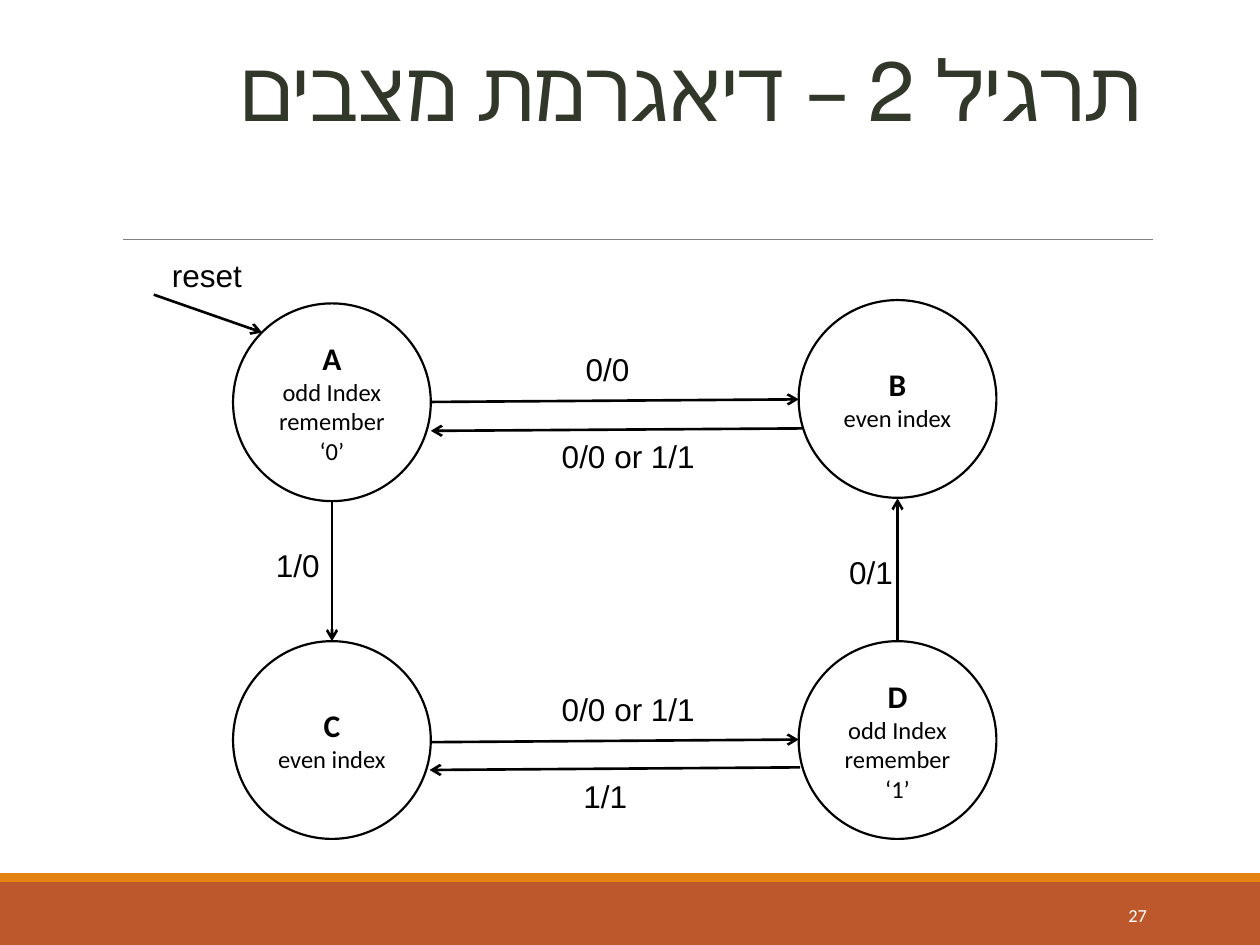
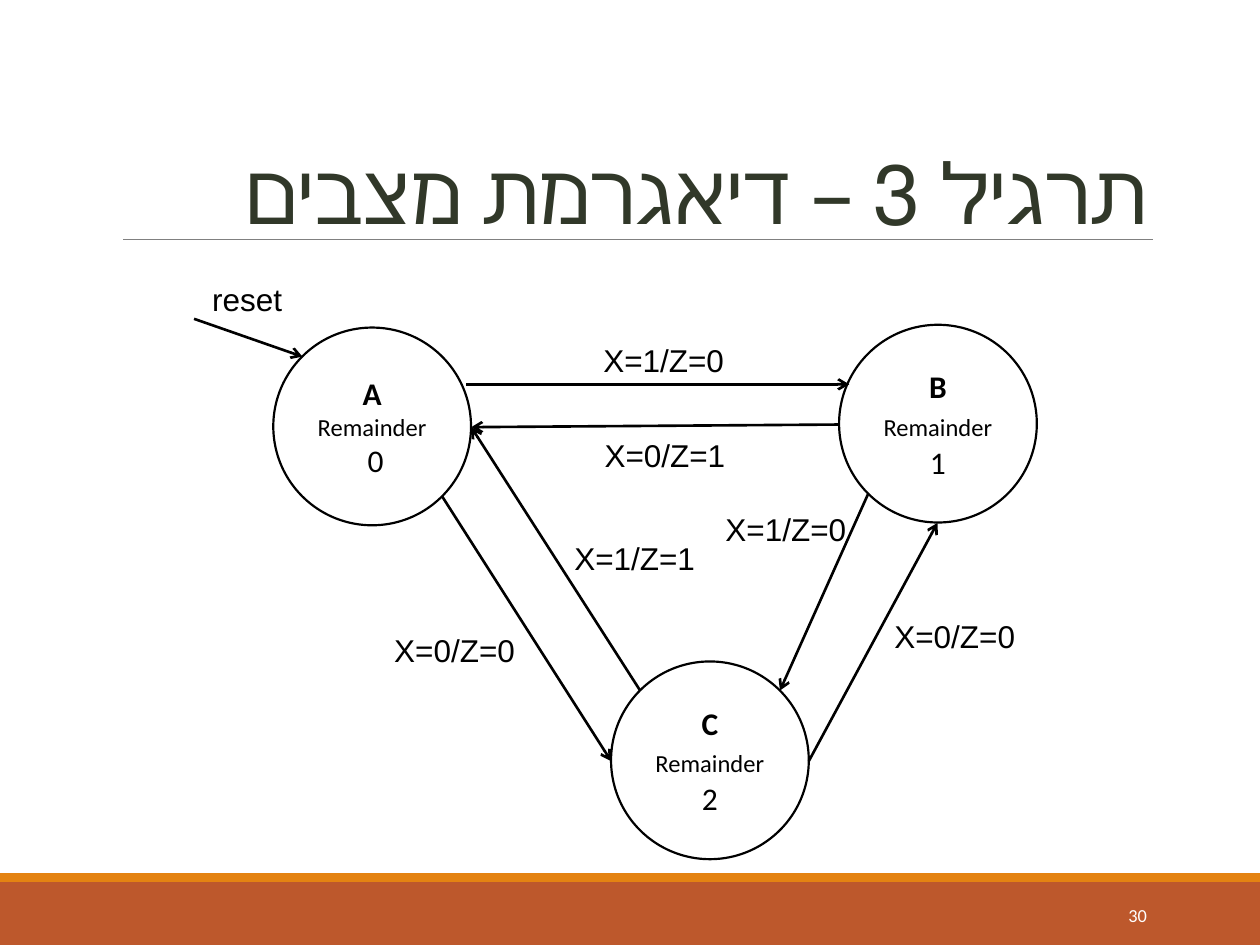
from lxml import etree
from pptx import Presentation
from pptx.dml.color import RGBColor
from pptx.enum.lang import MSO_LANGUAGE_ID
from pptx.enum.shapes import MSO_CONNECTOR, MSO_SHAPE
from pptx.enum.text import MSO_ANCHOR, PP_ALIGN
from pptx.oxml.ns import qn
from pptx.util import Pt

OVAL, RECTANGLE = MSO_SHAPE.OVAL, MSO_SHAPE.RECTANGLE
STRAIGHT = MSO_CONNECTOR.STRAIGHT
MIDDLE, BOTTOM, TOP = MSO_ANCHOR.MIDDLE, MSO_ANCHOR.BOTTOM, MSO_ANCHOR.TOP
LEFT, CENTER, RIGHT = PP_ALIGN.LEFT, PP_ALIGN.CENTER, PP_ALIGN.RIGHT
HEBREW = MSO_LANGUAGE_ID.HEBREW

BLACK = RGBColor(0x00, 0x00, 0x00)
WHITE = RGBColor(0xFF, 0xFF, 0xFF)
RUST = RGBColor(0xBD, 0x58, 0x2C)
ORANGE = RGBColor(0xE4, 0x83, 0x12)
GRAY = RGBColor(0x80, 0x80, 0x80)
DARK_OLIVE = RGBColor(0x31, 0x38, 0x29)

WIDTH, HEIGHT = 720, 540
DIAMETER = 113
LABEL_HEIGHT = 29


class StateDiagramDeck:
    heading_font = "Calibri"
    label_font = "Arial"

    def __init__(self):
        self.presentation = Presentation()
        self.presentation.slide_width = Pt(WIDTH)
        self.presentation.slide_height = Pt(HEIGHT)
        self.slide = None

    def new_slide(self, title, title_box, number):
        self.slide = self.presentation.slides.add_slide(self.presentation.slide_layouts[6])
        self.band(504, 36, RUST)
        self.band(499, 5, ORANGE)
        self.line((70.5, 136.9), (659, 136.9), GRAY, 0.5)
        heading = self.text(title, title_box, 48, self.heading_font, DARK_OLIVE, RIGHT, BOTTOM)
        heading.line_spacing = 0.85
        heading._p.get_or_add_pPr().set("rtl", "1")
        run = heading.runs[0]
        run.font.language_id = HEBREW
        run._r.get_or_add_rPr().set("spc", "-50")
        self.text(number, (584.6, 508.3, 77.8, 28.8), 10.5, self.heading_font, WHITE, RIGHT, MIDDLE)

    def shape(self, kind, left, top, width, height, fill):
        shape = self.slide.shapes.add_shape(kind, Pt(left), Pt(top), Pt(width), Pt(height))
        shape.shadow.inherit = False
        shape.fill.solid()
        shape.fill.fore_color.rgb = fill
        return shape

    def band(self, top, height, color):
        self.shape(RECTANGLE, 0, top, WIDTH, height, color).line.fill.background()

    def text(self, content, box, size, font_name, color, alignment=LEFT, anchor=TOP):
        frame = self.slide.shapes.add_textbox(*map(Pt, box)).text_frame
        frame.word_wrap = True
        frame.vertical_anchor = anchor
        paragraph = frame.paragraphs[0]
        paragraph.text = content
        paragraph.alignment = alignment
        self.style(paragraph.font, size, font_name, color)
        return paragraph

    def style(self, font, size, name, color):
        font.size = Pt(size)
        font.name = name
        font.color.rgb = color

    def line(self, start, end, color, weight):
        connector = self.slide.shapes.add_connector(STRAIGHT, *map(Pt, start + end))
        connector.line.color.rgb = color
        connector.line.width = Pt(weight)
        etree.SubElement(connector._element.spPr, qn("a:effectLst"))
        return connector

    def arrow(self, start, end):
        connector = self.line(start, end, BLACK, 1.5)
        etree.SubElement(connector.line._get_or_add_ln(), qn("a:tailEnd"), type="arrow")

    def label(self, content, left, top, width=84.2):
        self.text(content, (left, top, width, LABEL_HEIGHT), 18, self.label_font, BLACK)

    def state(self, name, position, *details):
        circle = self.shape(OVAL, *position, DIAMETER, DIAMETER, WHITE)
        circle.line.color.rgb = BLACK
        circle.line.width = Pt(1.25)
        frame = circle.text_frame
        frame.word_wrap = True
        frame.vertical_anchor = MIDDLE
        paragraph = frame.paragraphs[0]
        paragraph.text = name
        paragraph.alignment = CENTER
        paragraph.font.bold = True
        self.style(paragraph.font, 18, self.heading_font, BLACK)
        for runs in details:
            paragraph = frame.add_paragraph()
            paragraph.alignment = CENTER
            for content, size in runs:
                run = paragraph.add_run()
                run.text = content
                self.style(run.font, size, self.heading_font, BLACK)

    def reset(self, state_position):
        left, top = state_position
        self.label("reset", left - 42, top - 30.5)
        self.arrow((left - 45.3, top - 5), (left + 16.6, top + 16.6))


def build_parity_slide(deck):
    deck.new_slide("תרגיל 2 – דיאגרמת מצבים", (65.5, 21.6, 594, 61.2), "27")
    left, right, bottom = 133.2, 456.4, 366.4
    start = (left, 173.4)
    deck.state("A", start, [("odd Index remember ‘0’", 14)])
    deck.state("B", (right, 171.5), [("even index", 14)])
    deck.state("D", (right, bottom), [("odd Index remember ‘1’", 14)])
    deck.state("C", (left, bottom), [("even index", 14)])
    deck.reset(start)
    left_center, right_center = left + DIAMETER / 2, right + DIAMETER / 2
    for tail, head in (
        ((246.2, 229.7), (right, 228.2)),
        ((458.6, 244.8), (246.2, 246.2)),
        ((left_center, 286.4), (left_center, bottom)),
        ((246.2, 424.1), (right, 422.6)),
        ((right_center, bottom), (right_center, 284.8)),
        ((457.2, 438.5), (245.5, 440)),
    ):
        deck.arrow(tail, head)
    for transition in (
        ("0/0", 327.6, 196.6, 42.5),
        ("0/0 or 1/1", 313.9, 246.2, 99.4),
        ("1/0", 150.5, 308.2, 42.5),
        ("0/0 or 1/1", 313.9, 391, 99.4),
        ("0/1", 478.1, 312.5, 42.5),
        ("1/1", 326.2, 440.6, 49.7),
    ):
        deck.label(*transition)


def build_remainder_slide(deck):
    deck.new_slide("תרגיל 3 – דיאגרמת מצבים", (68.4, 28.8, 594, 113), "30")
    start = (156.2, 187.2)
    remainder = ("Remainder", 14)
    deck.state("A", start, [remainder], [(" 0", 18)])
    deck.state("B", (479.5, 185.6), [remainder, (" 1", 18)])
    deck.state("C", (349.2, 378), [remainder, (" 2", 18)])
    deck.reset(start)
    for tail, head, content, left, top in (
        ((252.7, 283.7), (349.2, 434.9), "X=0/Z=0", 218.2, 357.1),
        ((365.8, 394.6), (269.3, 244.1), "X=1/Z=1", 321.1, 304.6),
        ((266.4, 219.6), (485.3, 219.6), "X=1/Z=0", 337.7, 191.5),
        ((496.1, 282.2), (445.7, 394.6), "X=1/Z=0", 407.5, 288),
        ((462.2, 434.9), (535.7, 298.8), "X=0/Z=0", 504, 349.2),
        ((479.5, 242.6), (269.3, 244.1), "X=0/Z=1", 338.4, 245.5),
    ):
        deck.arrow(tail, head)
        deck.label(content, left, top)


def main():
    deck = StateDiagramDeck()
    build_parity_slide(deck)
    build_remainder_slide(deck)
    deck.presentation.save("out.pptx")


if __name__ == "__main__":
    main()
